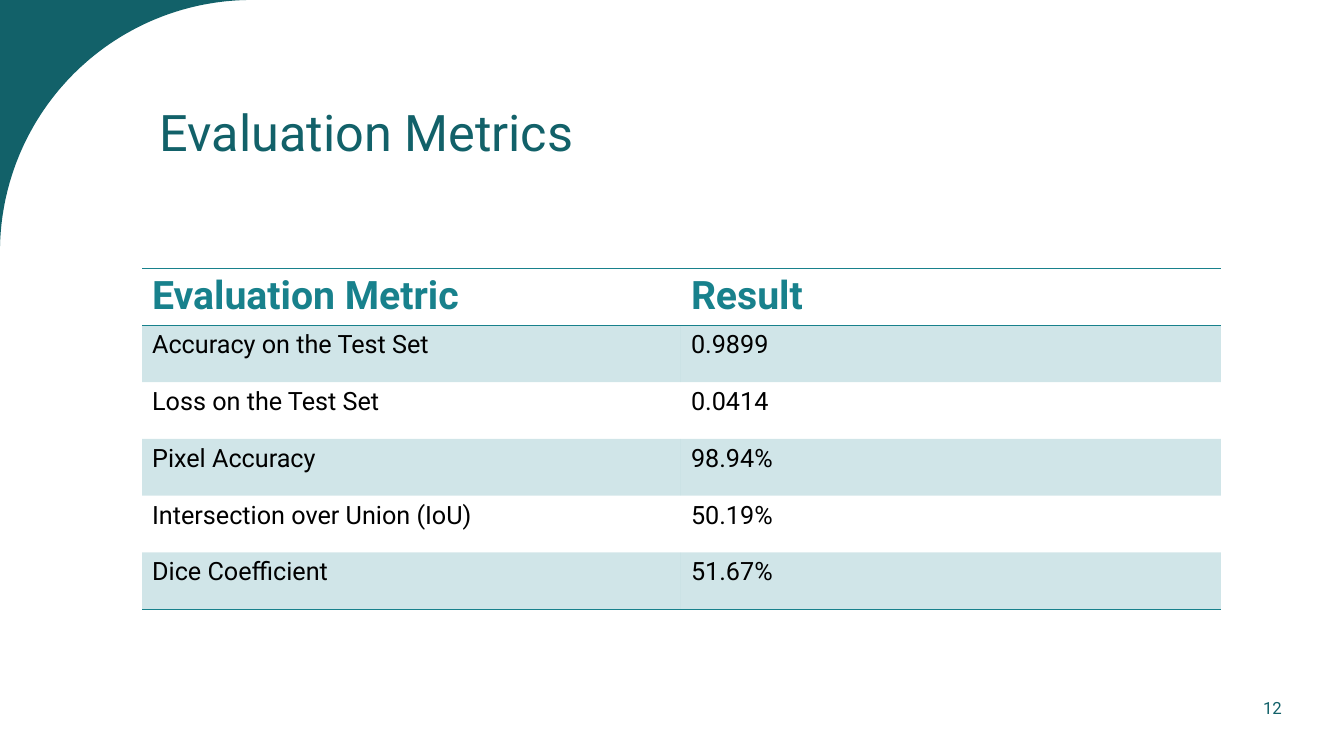
import math

import pptx
import pptx.dml.color
import pptx.enum.text
import pptx.oxml
import pptx.oxml.ns
import pptx.util
from pptx.util import Cm

FONT = "Roboto"
DARK_TEAL = "126169"
TEAL = "18818C"
BLACK = "000000"
NO_GRID_STYLE = "{2D5ABB26-0587-4C30-8999-92F81FD0307C}"

METRICS = [
    ("Evaluation Metric", "Result"),
    ("Accuracy on the Test Set", "0.9899"),
    ("Loss on the Test Set", "0.0414"),
    ("Pixel Accuracy", "98.94%"),
    ("Intersection over Union (IoU)", "50.19%"),
    ("Dice Coefficient", "51.67%"),
]


def colour(value):
    return pptx.dml.color.RGBColor.from_string(value)


def style_font(font, size, value, bold=False):
    font.name = FONT
    font.size = pptx.util.Pt(size)
    font.bold = bold
    font.color.rgb = colour(value)


def add_corner(page, radius, steps=90):
    angles = [math.pi / 2 * step / steps for step in range(steps + 1)]
    arc = [
        (Cm(radius * (1 - math.sin(angle))), Cm(radius * (1 - math.cos(angle))))
        for angle in angles
    ]
    builder = page.shapes.build_freeform(0, 0)
    builder.add_line_segments(arc, close=True)
    corner = builder.convert_to_shape()
    corner.shadow.inherit = False
    corner.fill.solid()
    corner.fill.fore_color.rgb = colour(DARK_TEAL)
    corner.line.fill.background()


def add_text(page, text, left, top, width, height, size, align, spacing=1.0):
    box = page.shapes.add_textbox(Cm(left), Cm(top), Cm(width), Cm(height))
    frame = box.text_frame
    frame.word_wrap = True
    frame.vertical_anchor = pptx.enum.text.MSO_ANCHOR.MIDDLE
    para = frame.paragraphs[0]
    para.text = text
    para.alignment = align
    para.line_spacing = spacing
    style_font(para.font, size, DARK_TEAL)


def add_border(cell, tag):
    border = pptx.oxml.parse_xml(
        f'<a:{tag} {pptx.oxml.ns.nsdecls("a")} w="12700"><a:solidFill>'
        f'<a:srgbClr val="{TEAL}"/></a:solidFill></a:{tag}>'
    )
    cell._tc.get_or_add_tcPr().append(border)


def tint_cell(cell):
    tint = pptx.oxml.parse_xml(
        f'<a:solidFill {pptx.oxml.ns.nsdecls("a")}><a:srgbClr val="{TEAL}">'
        '<a:alpha val="20000"/></a:srgbClr></a:solidFill>'
    )
    cell._tc.get_or_add_tcPr().append(tint)


def fill_cell(cell, text, row, last_row):
    header = row == 0
    para = cell.text_frame.paragraphs[0]
    para.text = text
    style_font(para.font, 28 if header else 18, TEAL if header else BLACK, header)
    if header:
        add_border(cell, "lnT")
    if header or row == last_row:
        add_border(cell, "lnB")
    if row % 2:
        tint_cell(cell)
    else:
        cell.fill.background()


def add_metrics_table(page, left, top, widths, row_height):
    rows = len(METRICS)
    frame = page.shapes.add_table(
        rows, len(widths), Cm(left), Cm(top), Cm(sum(widths)), Cm(row_height * rows)
    )
    table = frame.table
    table._tbl.tblPr[0].text = NO_GRID_STYLE
    for column, width in zip(table.columns, widths):
        column.width = Cm(width)
    for row, texts in enumerate(METRICS):
        table.rows[row].height = Cm(row_height)
        for column, text in enumerate(texts):
            fill_cell(table.cell(row, column), text, row, rows - 1)


def main():
    deck = pptx.Presentation()
    deck.slide_width = Cm(33.87)
    deck.slide_height = Cm(19.05)
    page = deck.slides.add_slide(deck.slide_layouts[6])
    align = pptx.enum.text.PP_ALIGN
    add_corner(page, 6.35)
    add_text(page, "Evaluation Metrics", 3.78, 0.97, 26.24, 4.85, 36, align.LEFT, 0.9)
    add_text(page, "12", 30.27, 16.61, 3.6, 2.44, 12, align.CENTER)
    add_metrics_table(page, 3.58, 6.76, (13.58, 13.61), 1.43)
    deck.save("out.pptx")


if __name__ == "__main__":
    main()
